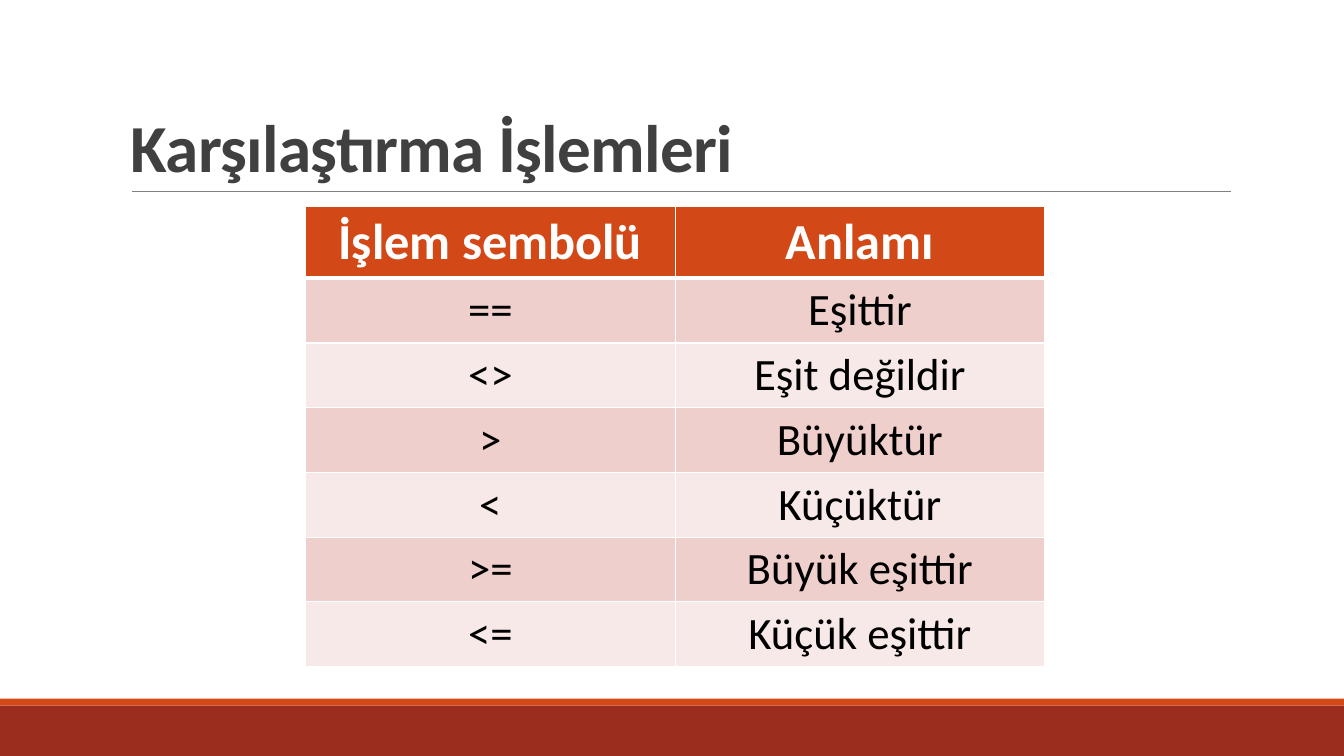
"""Build the slide listing the comparison operators and their meanings."""
from typing import NamedTuple

from lxml.etree import SubElement
from pptx import Presentation
from pptx.dml.color import RGBColor
from pptx.enum.shapes import MSO_CONNECTOR as Connector, MSO_SHAPE as Shape
from pptx.enum.text import MSO_ANCHOR as Anchor, PP_ALIGN as Align
from pptx.oxml.ns import qn
from pptx.slide import Slide
from pptx.table import _Cell as Cell
from pptx.text.text import TextFrame
from pptx.util import Pt

COLORS = {
    "band": "9B2D1F", "accent": "D34817", "rule": "808080", "title": "404040",
    "white": "FFFFFF", "black": "000000", "odd": "EFCFCC", "even": "F7E9E8",
}
FONT = "Calibri"
SLIDE_WIDTH, SLIDE_HEIGHT = 960, 540
HEADER_HEIGHT, ROW_HEIGHT, COLUMN_WIDTH = 51, 46.25, 264


class Strip(NamedTuple):
    top: float
    height: float
    color: str


class Operation(NamedTuple):
    symbol: str
    meaning: str


FOOTER = [Strip(504, 36, "band"), Strip(499, 5, "accent")]
OPERATIONS = [
    Operation("İşlem sembolü", "Anlamı"),
    Operation("==", "Eşittir"),
    Operation("<>", "Eşit değildir"),
    Operation(">", "Büyüktür"),
    Operation("<", "Küçüktür"),
    Operation(">=", "Büyük eşittir"),
    Operation("<=", "Küçük eşittir"),
]


def rgb(color: str) -> RGBColor:
    return RGBColor.from_string(COLORS[color])


def write(frame: TextFrame, text: str, *, size: float, color: str, bold: bool = False,
          align: Align = Align.LEFT, leading: float = 1.0, tracking: int = 0) -> None:
    paragraph = frame.paragraphs[0]
    paragraph.alignment = align
    paragraph.line_spacing = leading
    run = paragraph.add_run()
    run.text = text
    run.font.name, run.font.size, run.font.bold = FONT, Pt(size), bold
    run.font.color.rgb = rgb(color)
    if tracking:
        run.font._element.set("spc", str(tracking))


def draw_strip(slide: Slide, strip: Strip) -> None:
    bar = slide.shapes.add_shape(Shape.RECTANGLE, 0, Pt(strip.top),
                                 Pt(SLIDE_WIDTH), Pt(strip.height))
    bar.shadow.inherit = False
    bar.fill.solid()
    bar.fill.fore_color.rgb = rgb(strip.color)
    bar.line.fill.background()


def draw_title(slide: Slide, text: str) -> None:
    title = slide.shapes.add_textbox(Pt(86.4), Pt(22.5), Pt(792), Pt(114.3)).text_frame
    title.word_wrap = True
    title.vertical_anchor = Anchor.BOTTOM
    write(title, text, size=48, color="title", bold=True, leading=0.85, tracking=-50)
    rule = slide.shapes.add_connector(Connector.STRAIGHT, Pt(94), Pt(136.8),
                                      Pt(879), Pt(136.8))
    rule.line.color.rgb = rgb("rule")
    rule.line.width = Pt(0.5)
    SubElement(rule._element.spPr, qn("a:effectLst"))


def draw_borders(cell: Cell, top: float, bottom: float) -> None:
    properties = cell._tc.get_or_add_tcPr()
    for side, width in {"L": 1, "R": 1, "T": top, "B": bottom}.items():
        border = SubElement(properties, qn(f"a:ln{side}"), w=str(Pt(width)))
        fill = SubElement(border, qn("a:solidFill"))
        SubElement(fill, qn("a:srgbClr"), val=COLORS["white"])


def draw_operations(slide: Slide, operations: list[Operation]) -> None:
    height = HEADER_HEIGHT + ROW_HEIGHT * (len(operations) - 1)
    table = slide.shapes.add_table(len(operations), 2, Pt(218.3), Pt(147.7),
                                   Pt(2 * COLUMN_WIDTH), Pt(height)).table
    table.horz_banding = False
    for column in table.columns:
        column.width = Pt(COLUMN_WIDTH)
    for index, operation in enumerate(operations):
        header = index == 0
        table.rows[index].height = Pt(HEADER_HEIGHT if header else ROW_HEIGHT)
        background = "accent" if header else "odd" if index % 2 else "even"
        for cell, text in zip(table.rows[index].cells, operation):
            draw_borders(cell, top=3 if index == 1 else 1, bottom=3 if header else 1)
            cell.fill.solid()
            cell.fill.fore_color.rgb = rgb(background)
            cell.vertical_anchor = Anchor.MIDDLE
            write(cell.text_frame, text, size=36 if header else 32, bold=header,
                  color="white" if header else "black", align=Align.CENTER)


def main() -> None:
    deck = Presentation()
    deck.slide_width, deck.slide_height = Pt(SLIDE_WIDTH), Pt(SLIDE_HEIGHT)
    slide = deck.slides.add_slide(deck.slide_layouts[6])
    for strip in FOOTER:
        draw_strip(slide, strip)
    draw_title(slide, "Karşılaştırma İşlemleri")
    draw_operations(slide, OPERATIONS)
    deck.save("out.pptx")


main()
